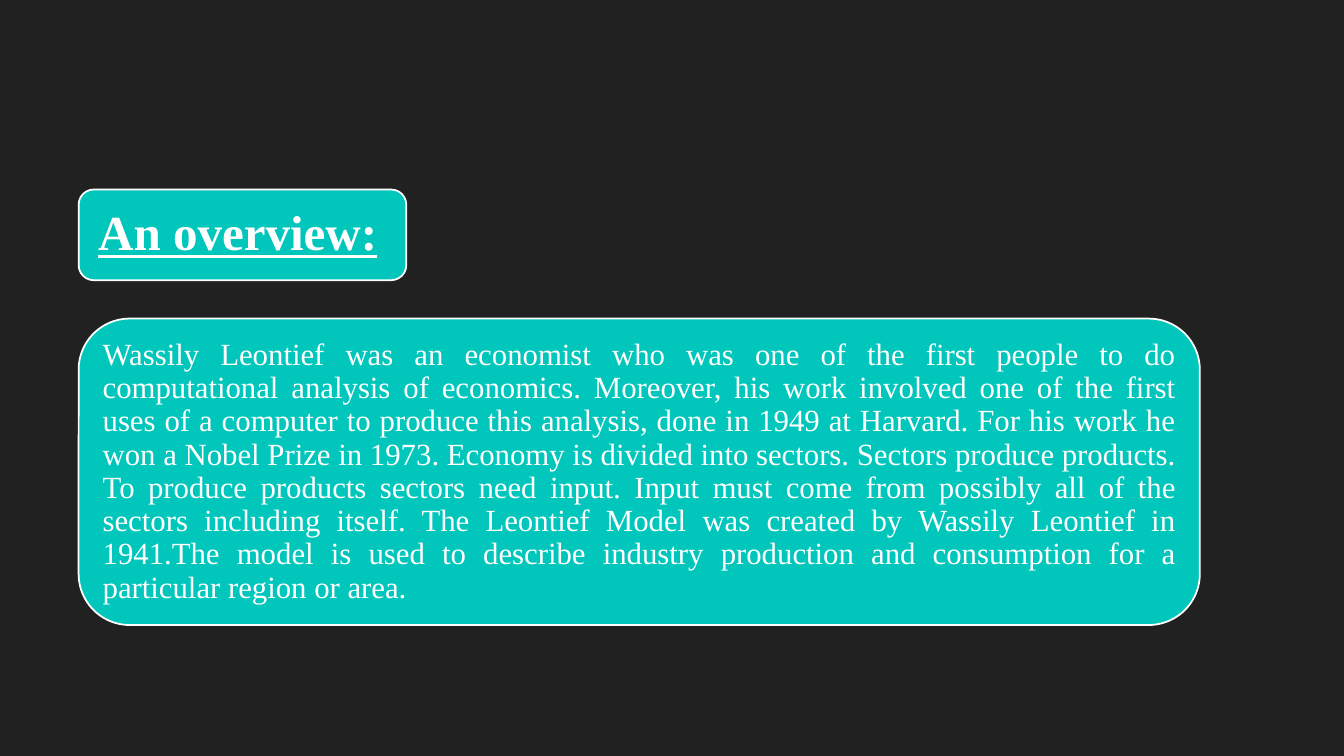
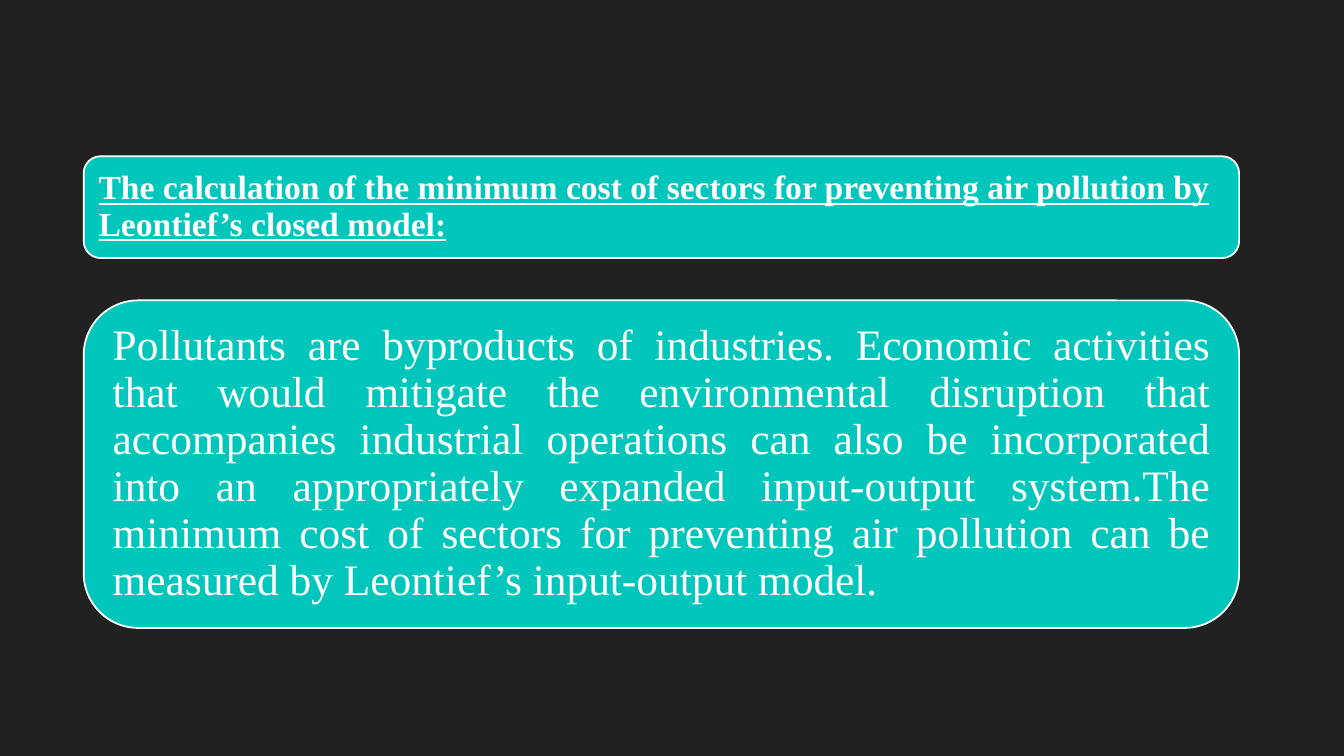
"""Build two dark slides, each a stack of a heading card and a text card."""
from dataclasses import dataclass

from pptx import Presentation
from pptx.dml.color import RGBColor
from pptx.enum.shapes import MSO_SHAPE
from pptx.enum.text import MSO_ANCHOR, PP_ALIGN
from pptx.util import Inches, Pt

SLIDES = [
    {
        "left": 5.85, "top": 25.07, "gap": 5.07,
        "cards": [
            {"kind": "head", "wide": 24.38, "high": 12, "size": 35, "inset": 0.15,
             "text": "An overview:"},
            {"kind": "body", "wide": 83.42, "high": 40.53, "size": 22, "inset": 0.09,
             "text": "Wassily Leontief was an economist who was one of the first people to do "
                     "computational analysis of economics. Moreover, his work involved one of "
                     "the first uses of a computer to produce this analysis, done in 1949 at "
                     "Harvard. For his work he won a Nobel Prize in 1973. Economy is divided "
                     "into sectors. Sectors produce products. To produce products sectors need "
                     "input. Input must come from possibly all of the sectors including itself. "
                     "The Leontief Model was created by Wassily Leontief in 1941.The model is "
                     "used to describe industry production and consumption for a particular "
                     "region or area."},
        ],
    },
    {
        "left": 6.23, "top": 20.67, "gap": 5.6,
        "cards": [
            {"kind": "head", "wide": 85.97, "high": 13.47, "size": 24, "inset": 0.1,
             "text": "The calculation of the minimum cost of sectors for preventing air "
                     "pollution by Leontief’s closed model:"},
            {"kind": "body", "wide": 85.97, "high": 43.33, "size": 31, "inset": 0.13,
             "text": "Pollutants are byproducts of industries. Economic activities that would "
                     "mitigate the environmental disruption that accompanies industrial "
                     "operations can also be incorporated into an appropriately expanded "
                     "input-output system.The minimum cost of sectors for preventing air "
                     "pollution can be measured by Leontief’s input-output model."},
        ],
    },
]


@dataclass(frozen=True)
class Theme:
    back: RGBColor = RGBColor.from_string("212121")
    card: RGBColor = RGBColor.from_string("00C6BB")
    ink: RGBColor = RGBColor.from_string("FFFFFF")
    face: str = "Times New Roman"
    edge: float = 1.25
    lead: float = 0.9


THEME = Theme()
STYLES = {
    "head": {"font": {"bold": True, "underline": True}, "align": PP_ALIGN.LEFT},
    "body": {"font": {"bold": False, "underline": False}, "align": PP_ALIGN.JUSTIFY},
}
SIDES = ("left", "top", "right", "bottom")


def apply(target, values):
    for name, value in values.items():
        setattr(target, name, value)


def paint(fill, color):
    fill.solid()
    fill.fore_color.rgb = color


def add_card(slide, card, box):
    style = STYLES[card["kind"]]
    shape = slide.shapes.add_shape(MSO_SHAPE.ROUNDED_RECTANGLE, *box)
    shape.shadow.inherit = False
    paint(shape.fill, THEME.card)
    paint(shape.line.fill, THEME.ink)
    shape.line.width = Pt(THEME.edge)
    frame = shape.text_frame
    apply(frame, {"word_wrap": True, "vertical_anchor": MSO_ANCHOR.MIDDLE})
    apply(frame, {f"margin_{side}": Inches(card["inset"]) for side in SIDES})
    para = frame.paragraphs[0]
    apply(para, {"alignment": style["align"], "line_spacing": THEME.lead})
    run = para.add_run()
    run.text = card["text"]
    apply(run.font, {"name": THEME.face, "size": Pt(card["size"]), **style["font"]})
    run.font.color.rgb = THEME.ink


def main():
    deck = Presentation()
    apply(deck, {"slide_width": Inches(13.33), "slide_height": Inches(7.5)})
    across, down = deck.slide_width / 100, deck.slide_height / 100
    for page in SLIDES:
        slide = deck.slides.add_slide(deck.slide_layouts[6])
        paint(slide.background.fill, THEME.back)
        top = page["top"]
        for card in page["cards"]:
            box = (page["left"] * across, top * down,
                   card["wide"] * across, card["high"] * down)
            add_card(slide, card, map(round, box))
            top += card["high"] + page["gap"]
    deck.save("out.pptx")


if __name__ == "__main__":
    main()
